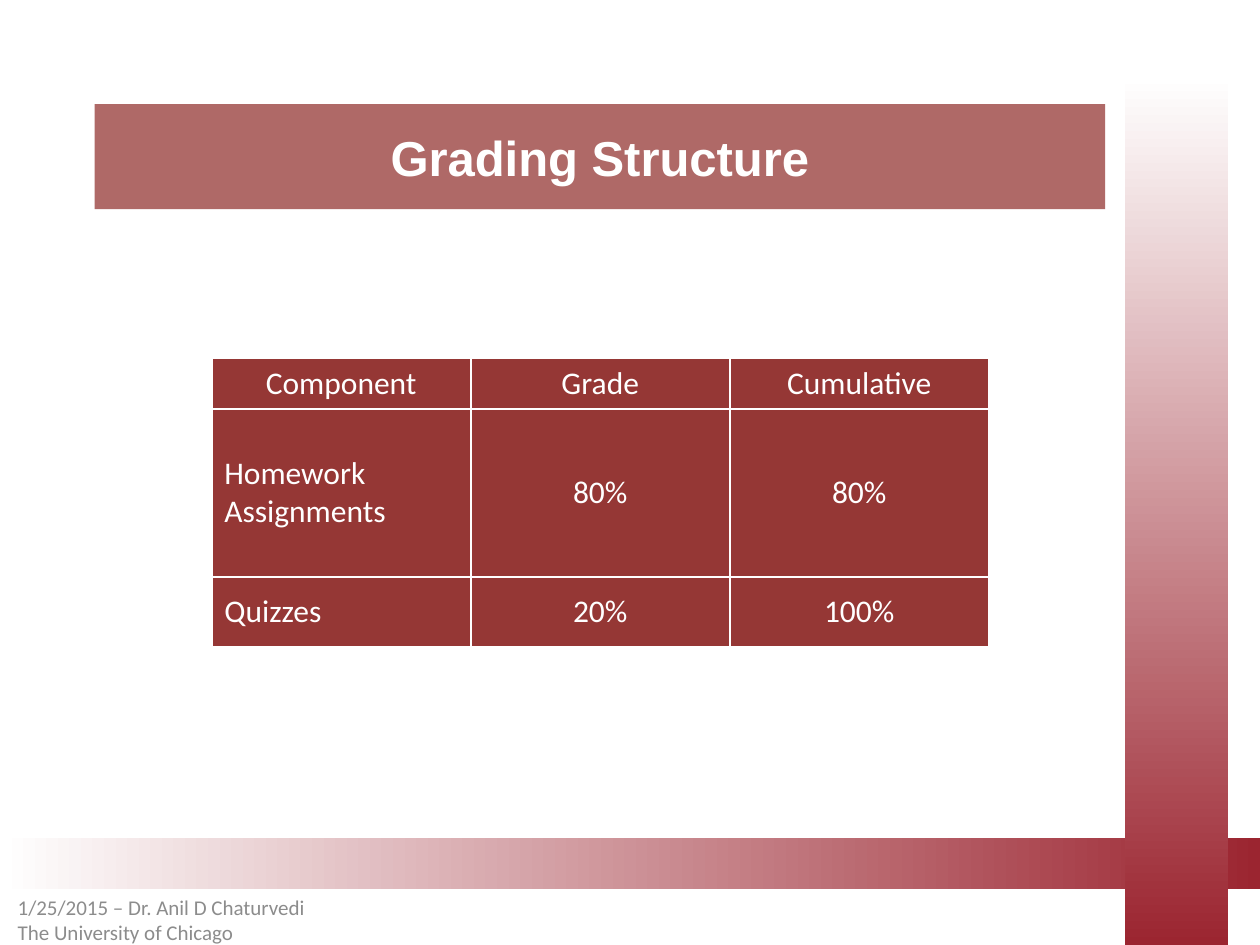
from lxml.etree import SubElement
from pptx import Presentation
from pptx.dml.color import RGBColor as Rgb
from pptx.enum.shapes import MSO_SHAPE as Shape
from pptx.enum.text import MSO_ANCHOR as Anchor, PP_ALIGN as Align
from pptx.oxml import parse_xml
from pptx.oxml.ns import nsdecls, qn
from pptx.util import Pt

COLORS = {"white": "FFFFFF", "crimson": "9B2530", "maroon": "953735", "gray": "8C8C8C"}
TITLE = "Grading Structure"
GRADES = [
    ("Component", "Grade", "Cumulative"),
    ("Homework Assignments", "80%", "80%"),
    ("Quizzes", "20%", "100%"),
]
FOOTER = "1/25/2015 – Dr. Anil D Chaturvedi\vThe University of Chicago"

BARS = [
    {"area": (0, 479, 720, 29), "start": 0, "angle": 0},
    {"area": (643, 0, 59, 540), "start": 0.08, "angle": 270},
]
TITLE_AREA = (54, 59.5, 577.5, 60)
TABLE_LEFT, TABLE_TOP = 121, 204.5
COLUMN_WIDTH = 148
ROW_HEIGHTS = (28, 96, 40)
FOOTER_AREA = (3, 511, 195, 29)

FORMATS = {
    "title": {"name": "Arial", "size": Pt(28), "bold": True},
    "cell": {"name": "Calibri", "size": Pt(18), "bold": False},
    "footer": {"name": "Calibri", "size": Pt(12), "bold": False},
}


def color(name):
    return Rgb.from_string(COLORS[name])


def points(area):
    return [Pt(value) for value in area]


def write(frame, text, style, tint, align=Align.LEFT):
    frame.word_wrap = True
    para = frame.paragraphs[0]
    para.text = text
    para.alignment = align
    for span in para.runs:
        for key, value in FORMATS[style].items():
            setattr(span.font, key, value)
        span.font.color.rgb = color(tint)


def add_rectangle(page, area):
    box = page.shapes.add_shape(Shape.RECTANGLE, *points(area))
    box.shadow.inherit = False
    box.line.fill.background()
    return box


def add_bar(page, area, start, angle):
    fill = add_rectangle(page, area).fill
    fill.gradient()
    fill.gradient_angle = angle
    for stop, position, tint in zip(fill.gradient_stops, (start, 1), ("white", "crimson")):
        stop.position = position
        stop.color.rgb = color(tint)


def add_title(page):
    box = add_rectangle(page, TITLE_AREA)
    box.fill.solid()
    box.fill.fore_color.rgb = color("maroon")
    tint = box.fill._xPr.find(".//" + qn("a:srgbClr"))
    SubElement(tint, qn("a:alpha"), val="75000")
    box.text_frame.vertical_anchor = Anchor.MIDDLE
    write(box.text_frame, TITLE, "title", "white", Align.CENTER)


def add_borders(cell):
    properties = cell._tc.get_or_add_tcPr()
    for index, side in enumerate("LRTB"):
        border = parse_xml(
            f'<a:ln{side} {nsdecls("a")} w="{Pt(1)}"><a:solidFill>'
            f'<a:srgbClr val="{COLORS["white"]}"/></a:solidFill></a:ln{side}>'
        )
        properties.insert(index, border)


def add_grades(page):
    columns = len(GRADES[0])
    area = (TABLE_LEFT, TABLE_TOP, COLUMN_WIDTH * columns, sum(ROW_HEIGHTS))
    table = page.shapes.add_table(len(GRADES), columns, *points(area)).table
    for column in table.columns:
        column.width = Pt(COLUMN_WIDTH)
    for row, (height, texts) in enumerate(zip(ROW_HEIGHTS, GRADES)):
        table.rows[row].height = Pt(height)
        for column, text in enumerate(texts):
            cell = table.cell(row, column)
            cell.vertical_anchor = Anchor.MIDDLE
            cell.fill.solid()
            cell.fill.fore_color.rgb = color("maroon")
            add_borders(cell)
            align = Align.LEFT if row and not column else Align.CENTER
            write(cell.text_frame, text, "cell", "white", align)


def add_footer(page):
    box = page.shapes.add_textbox(*points(FOOTER_AREA))
    box.text_frame.vertical_anchor = Anchor.MIDDLE
    write(box.text_frame, FOOTER, "footer", "gray")


def main():
    deck = Presentation()
    deck.slide_width, deck.slide_height = Pt(720), Pt(540)
    page = deck.slides.add_slide(deck.slide_layouts[6])
    for bar in BARS:
        add_bar(page, **bar)
    add_title(page)
    add_grades(page)
    add_footer(page)
    deck.save("out.pptx")


if __name__ == "__main__":
    main()
